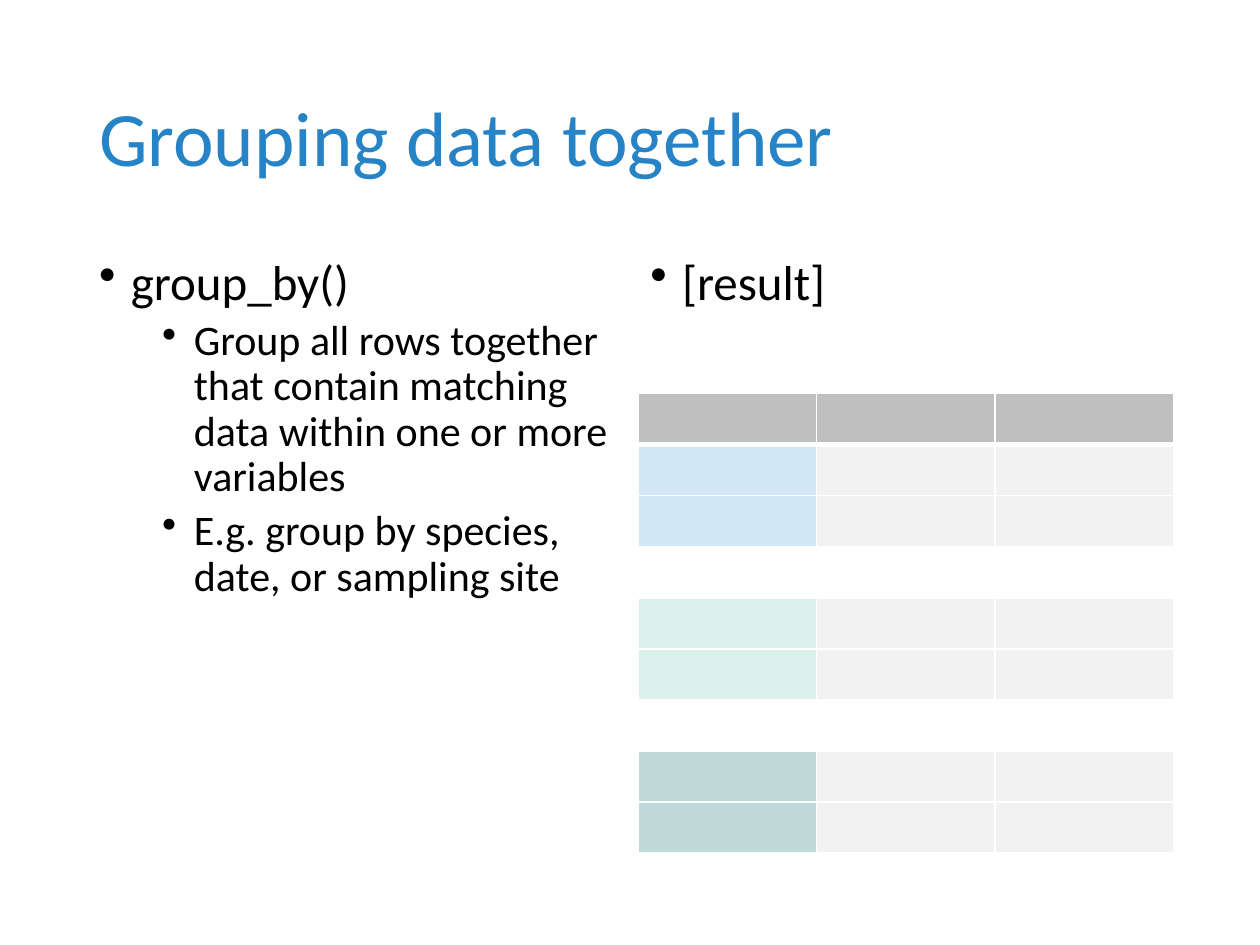
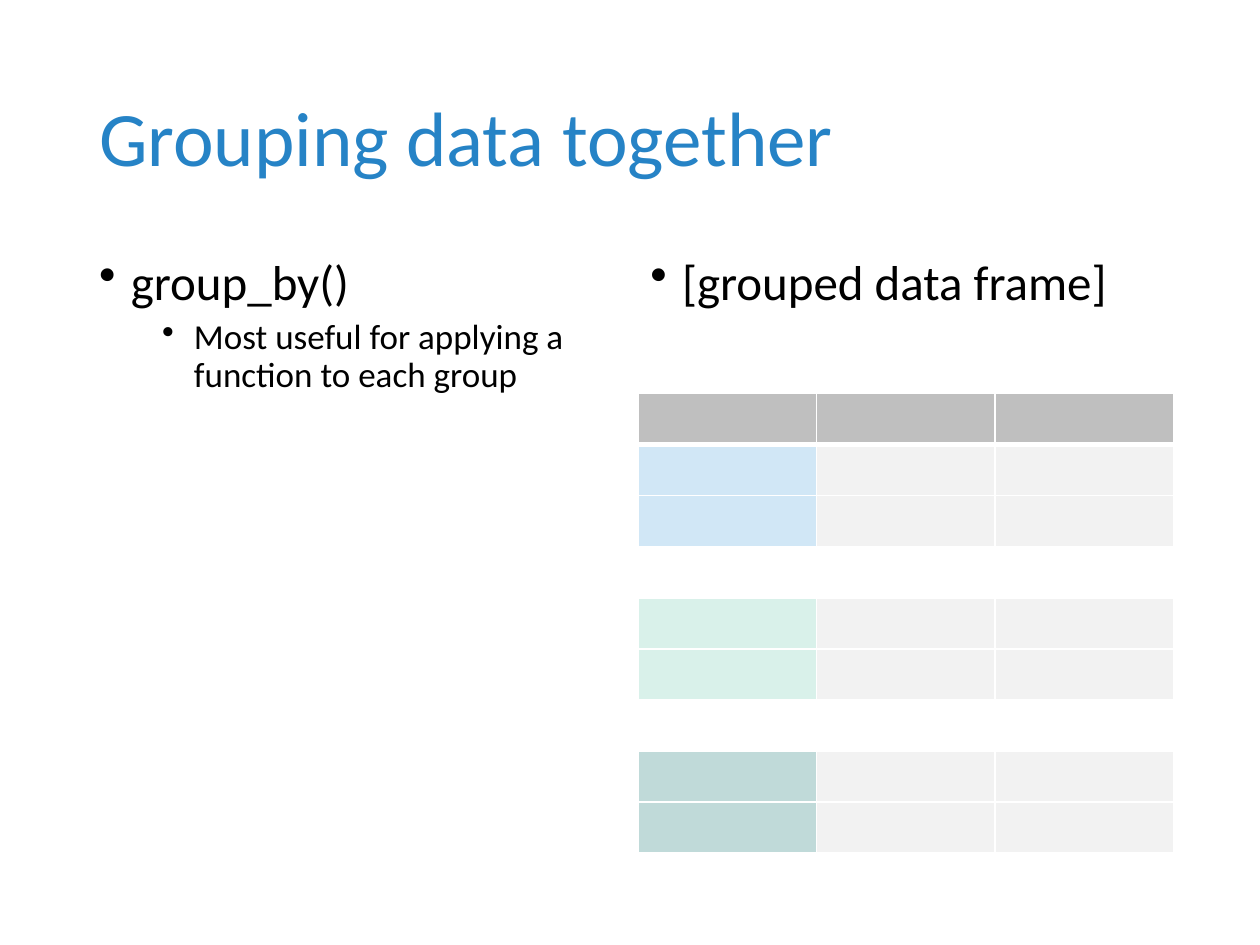
from lxml import etree
from pptx import Presentation
from pptx.dml.color import RGBColor
from pptx.enum import text
from pptx.oxml import ns
from pptx.util import Cm, Pt

BLUE = RGBColor(0x26, 0x83, 0xC6)
BLACK = RGBColor(0, 0, 0)
WHITE = RGBColor(255, 255, 255)
GREY = RGBColor(0xBF, 0xBF, 0xBF)
PALE = RGBColor(0xF2, 0xF2, 0xF2)
SKY = RGBColor(0xD1, 0xE7, 0xF6)
MINT = RGBColor(0xD9, 0xF1, 0xEA)
TEAL = RGBColor(0xC0, 0xDA, 0xD9)

FONT = "Calibri"
LEFT, RIGHT = Cm(1.75), Cm(12.86)
HALF = Cm(10.8)
ROW = Cm(1.03)

ROWS = [(GREY, GREY)]
for tint in (SKY, MINT, TEAL):
    ROWS += [(tint, PALE)] * 2 + [(WHITE, WHITE)]
ROWS.pop()

PAGES = [
    ("[result]", 24, [
        "Group all rows together that contain matching data within one or more variables",
        "E.g. group by species, date, or sampling site",
    ]),
    ("[grouped data frame]", 20, ["Most useful for applying a function to each group"]),
]


def write(frame, words, size=28, color=BLACK, level=0, bullet=True, first=True):
    para = frame.paragraphs[0] if first else frame.add_paragraph()
    para.line_spacing = 0.9
    run = para.add_run()
    run.text = words
    run.font.name = FONT
    run.font.size = Pt(size)
    run.font.color.rgb = color
    if bullet:
        para.level = level
        para.space_before = Pt(5 if level else 10)
        props = para._p.get_or_add_pPr()
        props.set("marL", str(Cm(1.91 if level else 0.64)))
        props.set("indent", str(-Cm(0.64)))
        etree.SubElement(props, ns.qn("a:buChar")).set("char", "•")


def edge(cell, side, width):
    props = cell._tc.get_or_add_tcPr()
    line = etree.SubElement(props, ns.qn("a:ln" + side), w=str(Pt(width)))
    fill = etree.SubElement(line, ns.qn("a:solidFill"))
    etree.SubElement(fill, ns.qn("a:srgbClr"), val=str(WHITE))


deck = Presentation()
deck.slide_width, deck.slide_height = Cm(25.4), Cm(19.05)

for result, size, notes in PAGES:
    slide = deck.slides.add_slide(deck.slide_layouts[6])
    frames = []
    for left, top, width, height in (
        (LEFT, Cm(1.01), Cm(21.9), Cm(3.68)),
        (LEFT, Cm(5.07), HALF, Cm(12.09)),
        (RIGHT, Cm(5.07), HALF, Cm(12.09)),
    ):
        frame = slide.shapes.add_textbox(left, top, width, height).text_frame
        frame.word_wrap = True
        frames.append(frame)
    title, body, side = frames

    title.vertical_anchor = text.MSO_ANCHOR.MIDDLE
    write(title, "Grouping data together", size=44, color=BLUE, bullet=False)
    write(body, "group_by()")
    for note in notes:
        write(body, note, size=size, level=1, first=False)
    write(side, result)

    grid = slide.shapes.add_table(len(ROWS), 3, RIGHT, Cm(7.93), HALF, ROW * len(ROWS)).table
    for r, (key, rest) in enumerate(ROWS):
        grid.rows[r].height = ROW
        for c in range(3):
            cell = grid.cell(r, c)
            edge(cell, "L", 1)
            edge(cell, "R", 1)
            edge(cell, "T", 3 if r == 1 else 1)
            edge(cell, "B", 3 if r == 0 else 1)
            cell.fill.solid()
            cell.fill.fore_color.rgb = rest if c else key

deck.save("out.pptx")
